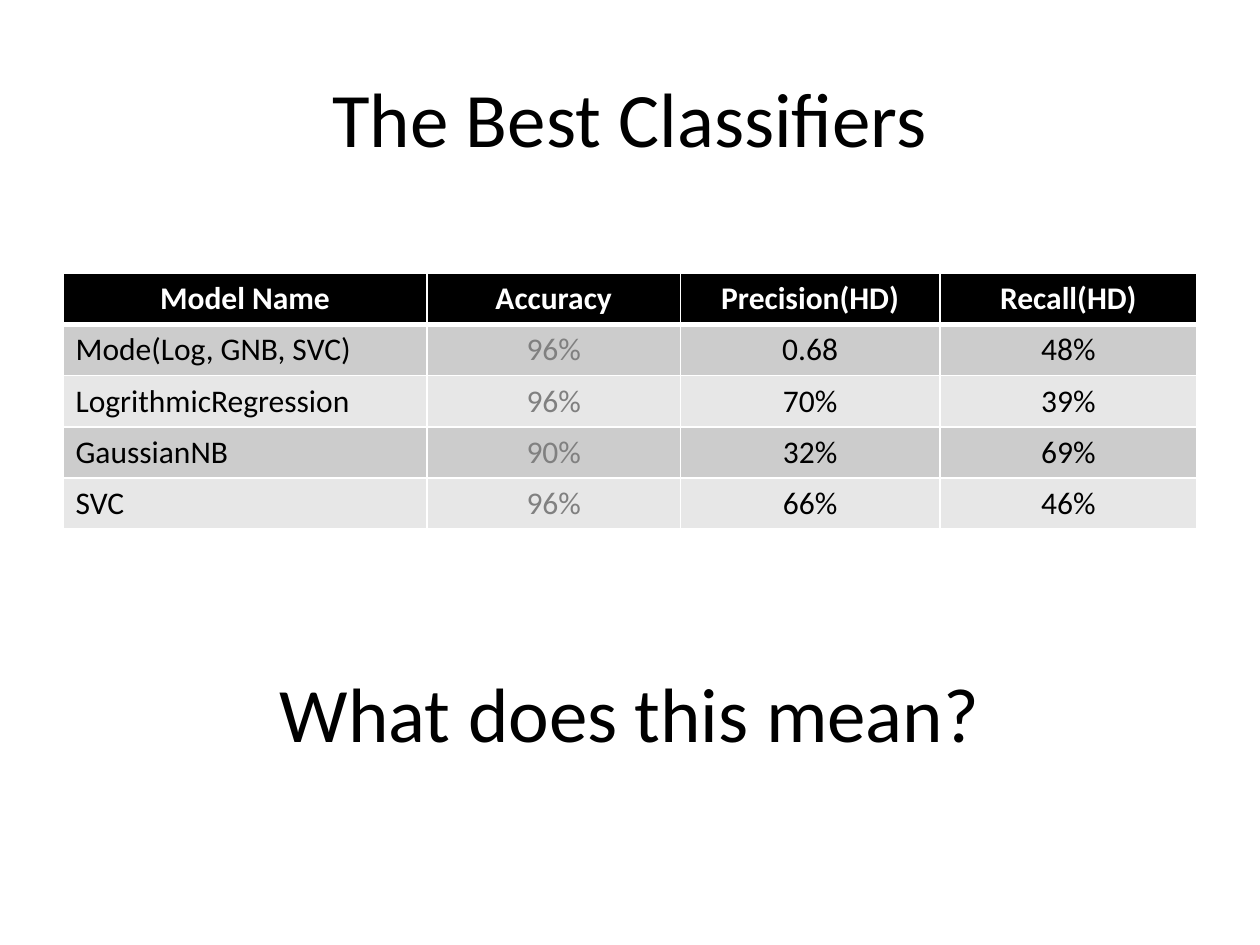
from lxml import etree
from pptx import Presentation
from pptx import util as u
from pptx.dml.color import RGBColor
from pptx.enum import text
from pptx.oxml import ns


def color(code):
    return RGBColor.from_string(code)


def style(para, size, code, bold=False, align=text.PP_ALIGN.CENTER):
    para.alignment = align
    para.font.name = "Calibri"
    para.font.size = u.Pt(size)
    para.font.bold = bold
    para.font.color.rgb = color(code)


prs = Presentation()
prs.slide_width, prs.slide_height = u.Inches(10), u.Inches(7.5)
slide = prs.slides.add_slide(prs.slide_layouts[6])

# Title and closing question
for top, words in ((0.3, "The Best Classifiers"), (5.02, "What does this mean?")):
    box = slide.shapes.add_textbox(
        u.Inches(0.5), u.Inches(top), u.Inches(9), u.Inches(1.25))
    frame = box.text_frame
    frame.word_wrap = True
    frame.vertical_anchor = text.MSO_ANCHOR.MIDDLE
    frame.text = words
    style(frame.paragraphs[0], 44, "000000")

# Table of scores
rows = [
    ("Model Name", "Accuracy", "Precision(HD)", "Recall(HD)"),
    ("Mode(Log, GNB, SVC)", "96%", "0.68", "48%"),
    ("LogrithmicRegression", "96%", "70%", "39%"),
    ("GaussianNB", "90%", "32%", "69%"),
    ("SVC", "96%", "66%", "46%"),
]
widths = (2.89, 2.01, 2.06, 2.04)
table = slide.shapes.add_table(
    len(rows), len(widths), u.Inches(0.5), u.Inches(2.17),
    u.Inches(9), u.Inches(2.03)).table
for col, width in zip(table.columns, widths):
    col.width = u.Inches(width)

for r, row in enumerate(rows):
    head = r == 0
    for c, words in enumerate(row):
        cell = table.cell(r, c)
        cell.text = words

        # White borders, thicker under the header
        props = cell._tc.get_or_add_tcPr()
        for side in "LRTB":
            thick = (r, side) in ((0, "B"), (1, "T"))
            line = etree.SubElement(
                props, ns.qn("a:ln" + side), w=str(u.Pt(3 if thick else 1)))
            fill = etree.SubElement(line, ns.qn("a:solidFill"))
            etree.SubElement(fill, ns.qn("a:srgbClr"), val="FFFFFF")

        # Banded fill and text
        cell.fill.solid()
        cell.fill.fore_color.rgb = color(
            "000000" if head else "CCCCCC" if r % 2 else "E7E7E7")
        ink = "FFFFFF" if head else "808080" if c == 1 else "000000"
        left = c == 0 and not head
        style(cell.text_frame.paragraphs[0], 18, ink, head,
              text.PP_ALIGN.LEFT if left else text.PP_ALIGN.CENTER)

prs.save("out.pptx")
